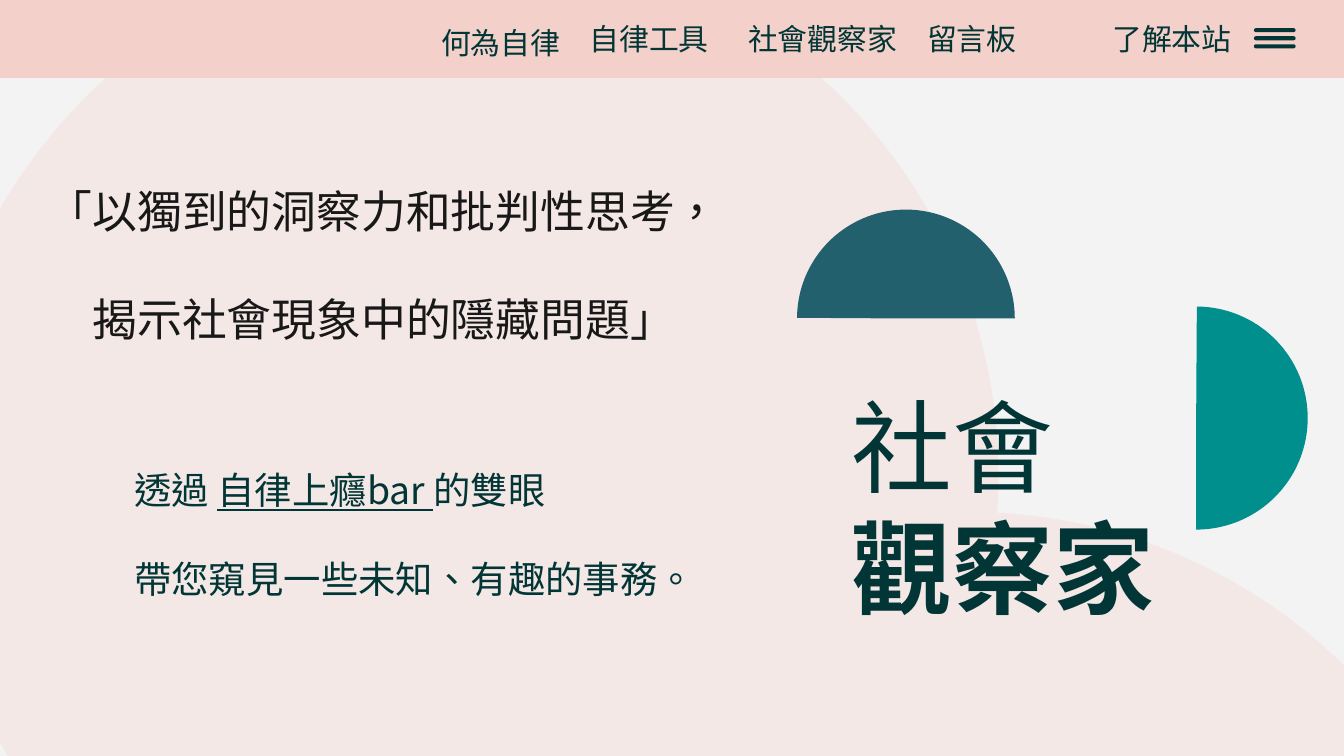
import pptx
import pptx.util
from lxml import etree
from pptx.dml.color import RGBColor
from pptx.enum.lang import MSO_LANGUAGE_ID
from pptx.enum.shapes import MSO_SHAPE
from pptx.enum.text import MSO_ANCHOR, MSO_AUTO_SIZE, PP_ALIGN
from pptx.oxml.ns import qn

# Content: each paragraph is a list of (text, underlined) runs
QUOTE = [[("「以獨到的洞察力和批判性思考，", False)],
         [("揭示社會現象中的隱藏問題」", False)]]
INTRO = [[("透過 ", False), ("自律上癮bar ", True), ("的雙眼", False)],
         [("帶您窺見一些未知、有趣的事務。", False)]]
TITLE = [[("社會", False)], [("觀察家", False)]]
# Menu label with its left, top, width and height
MENU = [
    ("自律工具", 4.33, 0.2, 1, 0.17),
    ("何為自律", 3.14, 0.23, 1.17, 0.17),
    ("了解本站", 8.22, 0.2, 1, 0.17),
    ("社會觀察家", 5.51, 0.2, 1.22, 0.18),
    ("留言板", 6.62, 0.2, 1.22, 0.18),
]

FONT = "Noto Sans CJK JP"
COLORS = {
    "background": "F3F3F3", "circle": "F3E8E5", "band": "F3D0C9",
    "slate": "23606E", "teal": "008F8C", "ink": "023535", "quote": "181818",
}
WIDTH = 10
HEIGHT = WIDTH * 9 / 16
CIRCLE = 7.96
HALF_PIE = (54.21, 162)
BAR_LEFT, BAR_TOP, BAR_STEP, BAR_COUNT = 9.33, 0.21, 0.06, 3

deck = pptx.Presentation()
deck.slide_width = pptx.util.Inches(WIDTH)
deck.slide_height = pptx.util.Inches(HEIGHT)
slide = deck.slides.add_slide(deck.slide_layouts[6])
slide.background.fill.solid()
slide.background.fill.fore_color.rgb = RGBColor.from_string(COLORS["background"])


def add_figure(kind, left, top, width, height, color, rotation=0, adjustments=()):
    figure = slide.shapes.add_shape(kind, *map(pptx.util.Inches, (left, top, width, height)))
    figure.shadow.inherit = False
    figure.fill.solid()
    figure.fill.fore_color.rgb = RGBColor.from_string(COLORS[color])
    figure.line.fill.background()
    figure.rotation = rotation
    for index, value in enumerate(adjustments):
        figure.adjustments[index] = value


def add_text(paragraphs, left, top, width, height, size, color="ink", align=PP_ALIGN.LEFT,
             anchor=MSO_ANCHOR.TOP, insets=(0.1, 0.05), spacing=None, grow=False, bold_rows=()):
    box = slide.shapes.add_textbox(*map(pptx.util.Inches, (left, top, width, height)))
    frame = box.text_frame
    frame.word_wrap = True
    frame.auto_size = MSO_AUTO_SIZE.SHAPE_TO_FIT_TEXT if grow else MSO_AUTO_SIZE.NONE
    frame.vertical_anchor = anchor
    frame.margin_left = frame.margin_right = pptx.util.Inches(insets[0])
    frame.margin_top = frame.margin_bottom = pptx.util.Inches(insets[1])
    for row, runs in enumerate(paragraphs):
        paragraph = frame.add_paragraph() if row else frame.paragraphs[0]
        paragraph.alignment = align
        if spacing:
            paragraph.line_spacing = spacing
        font = paragraph.font
        font.size = pptx.util.Pt(size)
        font.bold = row in bold_rows
        font.color.rgb = RGBColor.from_string(COLORS[color])
        font.name = FONT
        # Chinese glyphs take the East Asian typeface
        latin = paragraph._p.pPr.find(qn("a:defRPr")).find(qn("a:latin"))
        latin.addnext(etree.Element(qn("a:ea"), typeface=FONT))
        for text, underlined in runs:
            run = paragraph.add_run()
            run.text = text
            # Traditional Chinese centres its punctuation
            run.font.language_id = MSO_LANGUAGE_ID.TRADITIONAL_CHINESE
            if underlined:
                run.font.underline = True


# Background circles and half discs
for left, top in [(3.23, 3.81), (-0.53, -0.44)]:
    add_figure(MSO_SHAPE.OVAL, left, top, CIRCLE, CIRCLE, "circle")
for left, top, size, color, rotation in [(5.93, 1.56, 1.62, "slate", 90),
                                         (8.07, 2.28, 1.66, "teal", 180)]:
    add_figure(MSO_SHAPE.PIE, left, top, size, size, color, rotation, HALF_PIE)

# Top band
add_figure(MSO_SHAPE.RECTANGLE, 0, 0, WIDTH, 0.58, "band")

# Title, quote and introduction
add_text(TITLE, 6.24, 2.14, 4.09, 2.62, 54, anchor=MSO_ANCHOR.BOTTOM,
         insets=(0.1, 0.1), bold_rows=(1,))
add_text(QUOTE, -0.47, 0.92, 6.65, 1.72, 24, "quote", PP_ALIGN.CENTER, spacing=2.0, grow=True)
add_text(INTRO, 0.9, 3.09, 5.45, 1.45, 20, spacing=2.0, grow=True)

# Menu labels and menu icon
for label, left, top, width, height in MENU:
    add_text([[(label, False)]], left, top, width, height, 16, align=PP_ALIGN.CENTER,
             anchor=MSO_ANCHOR.MIDDLE, insets=(0, 0.1))
for bar in range(BAR_COUNT):
    add_figure(MSO_SHAPE.ROUNDED_RECTANGLE, BAR_LEFT, BAR_TOP + bar * BAR_STEP, 0.31, 0.03,
               "ink", adjustments=(0.5,))

deck.save("out.pptx")
